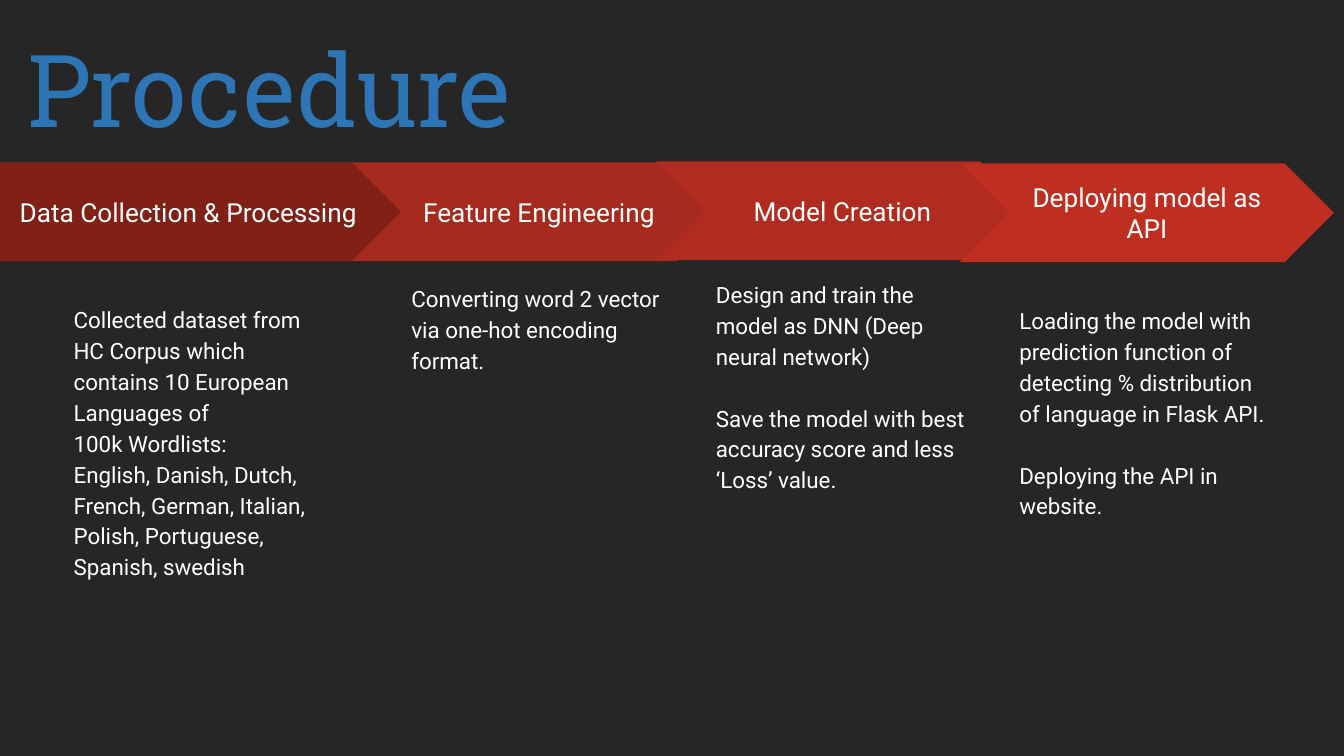
from pptx import Presentation
from pptx.dml.color import RGBColor
from pptx.enum.shapes import MSO_SHAPE
from pptx.enum.text import MSO_ANCHOR, PP_ALIGN
from pptx.util import Inches, Pt

PENTAGON = MSO_SHAPE.PENTAGON
CHEVRON = MSO_SHAPE.CHEVRON
MIDDLE = MSO_ANCHOR.MIDDLE
CENTER = PP_ALIGN.CENTER

BACKGROUND = RGBColor(0x26, 0x26, 0x26)
WHITE = RGBColor(0xFF, 0xFF, 0xFF)
TITLE_BLUE = RGBColor(0x2E, 0x75, 0xB6)
DARK_RED = RGBColor(0x80, 0x20, 0x17)
DEEP_RED = RGBColor(0xA7, 0x2A, 0x1E)
MID_RED = RGBColor(0xB0, 0x2C, 0x20)
BRIGHT_RED = RGBColor(0xBE, 0x2F, 0x22)

ARROW_HEIGHT = 0.98
BODY_WIDTH = 2.78
BODY_GAP = Pt(22)

# Arrow: kind, left, top, width, colour, heading.
# Body: left, top, height, then groups of lines; a gap separates the groups.
STEPS = [
    (PENTAGON, 0, 1.61, 3.98, DARK_RED, "Data Collection & Processing",
     0.6, 2.87, 3.17,
     [["Collected dataset from HC Corpus which contains 10 European Languages of",
       "100k Wordlists:",
       "English, Danish, Dutch, French, German, Italian,",
       "Polish, Portuguese,",
       "Spanish, swedish"]]),
    (CHEVRON, 3.49, 1.61, 3.71, DEEP_RED, "Feature Engineering",
     3.95, 2.66, 3.17,
     [["Converting word 2 vector via one-hot encoding format."]]),
    (CHEVRON, 6.5, 1.6, 3.71, MID_RED, "Model Creation",
     6.97, 2.62, 3.11,
     [["Design and train the model as DNN (Deep neural network)"],
      ["Save the model with best accuracy score and less ‘Loss’ value."]]),
    (CHEVRON, 9.52, 1.62, 3.71, BRIGHT_RED, "Deploying model as API",
     9.98, 2.88, 2.95,
     [["Loading the model with prediction function of detecting % distribution "
       "of language in Flask API."],
      ["Deploying the API in website."]]),
]


def add_run(paragraph, text, size, color=WHITE, font_name="Roboto"):
    run = paragraph.add_run()
    run.text = text
    run.font.size = Pt(size)
    run.font.name = font_name
    run.font.color.rgb = color


def prepare_frame(shape):
    """Wrap the text of a step shape and give it even margins."""
    frame = shape.text_frame
    frame.word_wrap = True
    frame.margin_left = frame.margin_right = Inches(0.13)
    frame.margin_top = frame.margin_bottom = Inches(0.13)
    return frame


presentation = Presentation()
presentation.slide_width = Inches(13.33)
presentation.slide_height = Inches(7.5)
slide = presentation.slides.add_slide(presentation.slide_layouts[6])
slide.background.fill.solid()
slide.background.fill.fore_color.rgb = BACKGROUND

for (kind, left, top, width, color, heading,
     body_left, body_top, body_height, groups) in STEPS:
    arrow = slide.shapes.add_shape(
        kind, Inches(left), Inches(top), Inches(width), Inches(ARROW_HEIGHT))
    arrow.adjustments[0] = 0.5
    arrow.shadow.inherit = False
    arrow.fill.solid()
    arrow.fill.fore_color.rgb = color
    arrow.line.fill.background()
    frame = prepare_frame(arrow)
    frame.vertical_anchor = MIDDLE
    frame.paragraphs[0].alignment = CENTER
    add_run(frame.paragraphs[0], heading, 18.7)

    body = slide.shapes.add_textbox(
        Inches(body_left), Inches(body_top), Inches(BODY_WIDTH), Inches(body_height))
    frame = prepare_frame(body)
    paragraph = frame.paragraphs[0]
    for group_index, lines in enumerate(groups):
        for line_index, line in enumerate(lines):
            if group_index or line_index:
                paragraph = frame.add_paragraph()
            if group_index and line_index == 0:
                paragraph.space_before = BODY_GAP
            paragraph.line_spacing = 1.15
            add_run(paragraph, line, 16)

title = slide.shapes.add_textbox(
    Inches(0.17), Inches(0.22), Inches(12.14), Inches(1.31))
title.text_frame.word_wrap = True
add_run(title.text_frame.paragraphs[0], "Procedure", 72, TITLE_BLUE, "Roboto Slab")

presentation.save("out.pptx")
